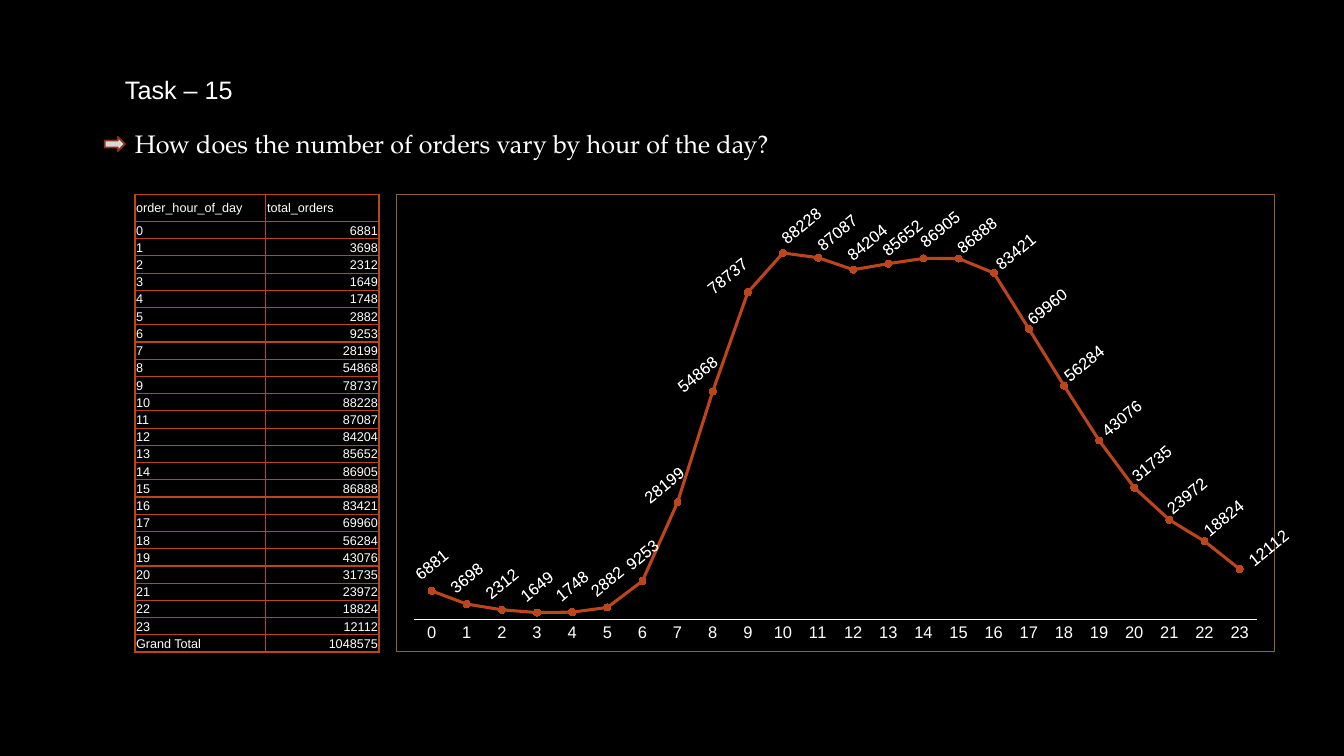
from lxml import etree
from pptx import Presentation
from pptx import util as u
from pptx.chart import data as chart_data
from pptx.dml.color import RGBColor
from pptx.enum import chart as charts, shapes, text
from pptx.oxml import ns

BLACK = RGBColor(0x00, 0x00, 0x00)
WHITE = RGBColor(0xFF, 0xFF, 0xFF)
SILVER = RGBColor(0xDA, 0xDA, 0xDA)
RUST = RGBColor(0xBC, 0x45, 0x1B)
DARK_RUST = RGBColor(0x8B, 0x33, 0x14)
BRONZE = RGBColor(0x8C, 0x65, 0x30)

ORDERS = [6881, 3698, 2312, 1649, 1748, 2882, 9253, 28199, 54868, 78737, 88228, 87087,
          84204, 85652, 86905, 86888, 83421, 69960, 56284, 43076, 31735, 23972, 18824, 12112]
HOURS = [str(hour) for hour in range(len(ORDERS))]
FIRST_MOVED_LABEL = 7
LABEL_SHIFTS_PERCENT = [(-1.5, 2.6), (-1.7, 2.6), (-2.3, 2.8), (2.1, 0.4), (2.2, 0.9), (1.6, 0.4),
                        (1.6, 0.7), (1.9, 0), (2.1, 1.3), (2.5, 1.7), (2.1, 1.5), (2.3, 1.5),
                        (2.6, 1.5), (2, 1.1), (2, 1.1), (2.2, 1.3), (3.3, 1.7)]
LABEL_ANGLE = -39


def add_element(parent, tag, **attributes):
    return etree.SubElement(parent, ns.qn(tag), {key: str(value) for key, value in attributes.items()})


def add_solid_fill(parent, color):
    add_element(add_element(parent, "a:solidFill"), "a:srgbClr", val=color)


def make_layout(**values):
    layout = etree.Element(ns.qn("c:layout"))
    manual = add_element(layout, "c:manualLayout")
    for name, value in values.items():
        add_element(manual, f"c:{name}", val=value)
    return layout


class OrdersSlide:
    font = "Arial"

    def __init__(self, presentation):
        self.slide = presentation.slides.add_slide(presentation.slide_layouts[6])
        self.slide.background.fill.solid()
        self.slide.background.fill.fore_color.rgb = BLACK

    def style_font(self, font, size, name=None):
        font.name = name or self.font
        font.size = u.Pt(size)
        font.color.rgb = WHITE

    def add_text(self, words, left, top, width, height, size=18, font=None, wrap=True):
        shape = self.slide.shapes.add_textbox(u.Cm(left), u.Cm(top), u.Cm(width), u.Cm(height))
        shape.text_frame.word_wrap = wrap
        shape.text_frame.text = words
        self.style_font(shape.text_frame.paragraphs[0].runs[0].font, size, font)

    def add_arrow(self, left, top, width, height):
        shape = self.slide.shapes.add_shape(
            shapes.MSO_SHAPE.RIGHT_ARROW, u.Cm(left), u.Cm(top), u.Cm(width), u.Cm(height))
        shape.shadow.inherit = False
        shape.fill.solid()
        shape.fill.fore_color.rgb = SILVER
        shape.line.color.rgb = DARK_RUST
        shape.line.width = u.Pt(1.25)

    def format_cell(self, cell, words, align):
        cell.margin_left = cell.margin_right = cell.margin_top = u.Cm(0.03)
        cell.margin_bottom = 0
        cell.vertical_anchor = text.MSO_ANCHOR.MIDDLE
        cell.text_frame.text = words
        paragraph = cell.text_frame.paragraphs[0]
        paragraph.alignment = align
        self.style_font(paragraph.runs[0].font, 9)
        properties = cell._tc.get_or_add_tcPr()
        for edge in ("lnL", "lnR", "lnT", "lnB"):
            add_solid_fill(add_element(properties, f"a:{edge}", w=u.Pt(1)), RUST)
        cell.fill.background()

    def add_table(self, rows, left, top, widths, height, header_height):
        frame = self.slide.shapes.add_table(
            len(rows), len(widths), u.Cm(left), u.Cm(top), u.Cm(sum(widths)), u.Cm(height))
        table = frame.table
        for column, width in zip(table.columns, widths):
            column.width = u.Cm(width)
        body_height = u.Cm((height - header_height) / (len(rows) - 1))
        for index, row in enumerate(rows):
            table.rows[index].height = body_height if index else u.Cm(header_height)
            for position, words in enumerate(row):
                right = index and position
                align = text.PP_ALIGN.RIGHT if right else text.PP_ALIGN.LEFT
                self.format_cell(table.cell(index, position), words, align)

    def add_line_chart(self, categories, values, left, top, width, height):
        content = chart_data.CategoryChartData()
        content.categories = categories
        content.add_series("Series 1", values)
        chart = self.slide.shapes.add_chart(
            charts.XL_CHART_TYPE.LINE_MARKERS, u.Cm(left), u.Cm(top), u.Cm(width), u.Cm(height),
            content).chart
        chart.has_title = chart.has_legend = False
        self.style_font(chart.font, 10)
        self.format_axes(chart)
        self.frame_chart(chart)
        plot = chart.plots[0]
        plot.vary_by_categories = False
        self.format_series(plot.series[0])
        self.add_labels(plot.series[0])

    def format_axes(self, chart):
        hours_axis = chart.category_axis
        hours_axis.major_tick_mark = charts.XL_TICK_MARK.NONE
        hours_axis.format.line.color.rgb = WHITE
        hours_axis.format.line.width = u.Pt(0.75)
        self.style_font(hours_axis.tick_labels.font, 12)
        orders_axis = chart.value_axis
        orders_axis.minimum_scale, orders_axis.maximum_scale = 0, 100000
        orders_axis.has_major_gridlines = False
        orders_axis.visible = False

    def frame_chart(self, chart):
        body = chart._chartSpace.find(ns.qn("c:chart"))
        properties = etree.Element(ns.qn("c:spPr"))
        add_element(properties, "a:noFill")
        add_solid_fill(add_element(properties, "a:ln", w=u.Pt(0.75)), BRONZE)
        body.addnext(properties)
        area = body.find(ns.qn("c:plotArea"))
        for layout in area.findall(ns.qn("c:layout")):
            area.remove(layout)
        area.insert(0, make_layout(layoutTarget="inner", xMode="edge", yMode="edge",
                                   x=0.02, y=0.02, w=0.96, h=0.91))

    def format_series(self, series):
        series.smooth = False
        series.format.line.color.rgb = RUST
        series.format.line.width = u.Pt(2.25)
        series.marker.style = charts.XL_MARKER_STYLE.CIRCLE
        series.marker.size = 5
        series.marker.format.fill.solid()
        series.marker.format.fill.fore_color.rgb = RUST
        series.marker.format.line.color.rgb = RUST

    def add_labels(self, series):
        labels = series.data_labels
        labels.show_value = True
        labels.position = charts.XL_LABEL_POSITION.ABOVE
        self.style_font(labels.font, 12)
        for index in range(len(LABEL_SHIFTS_PERCENT)):
            label = series.points[FIRST_MOVED_LABEL + index].data_label
            label.position = charts.XL_LABEL_POSITION.ABOVE
            self.style_font(label.font, 12)
        moved = series._element.findall(f"{ns.qn('c:dLbls')}/{ns.qn('c:dLbl')}")
        for element, (across, down) in zip(moved, LABEL_SHIFTS_PERCENT):
            element.find(ns.qn("c:idx")).addnext(make_layout(x=across / 100, y=down / 100))
        for body in series._element.find(ns.qn("c:dLbls")).iter(ns.qn("a:bodyPr")):
            body.set("rot", str(LABEL_ANGLE * 60000))
            body.set("vert", "horz")


def main():
    presentation = Presentation()
    presentation.slide_width, presentation.slide_height = u.Cm(33.87), u.Cm(19.05)
    slide = OrdersSlide(presentation)
    slide.add_text("Task – 15", 2.9, 1.75, 5.82, 1.02)
    slide.add_arrow(2.64, 3.45, 0.51, 0.36)
    slide.add_text("How does the number of orders vary by hour of the day?",
                   3.15, 3.12, 16.74, 1.02, font="TeX Gyre Pagella", wrap=False)
    rows = [("order_hour_of_day", "total_orders")]
    rows += [(hour, str(count)) for hour, count in zip(HOURS, ORDERS)]
    rows.append(("Grand Total", str(sum(ORDERS))))
    slide.add_table(rows, 3.4, 4.9, (3.3, 2.85), 11.53, 0.68)
    slide.add_line_chart(HOURS, ORDERS, 9.98, 4.9, 22.58, 11.53)
    presentation.save("out.pptx")


if __name__ == "__main__":
    main()
